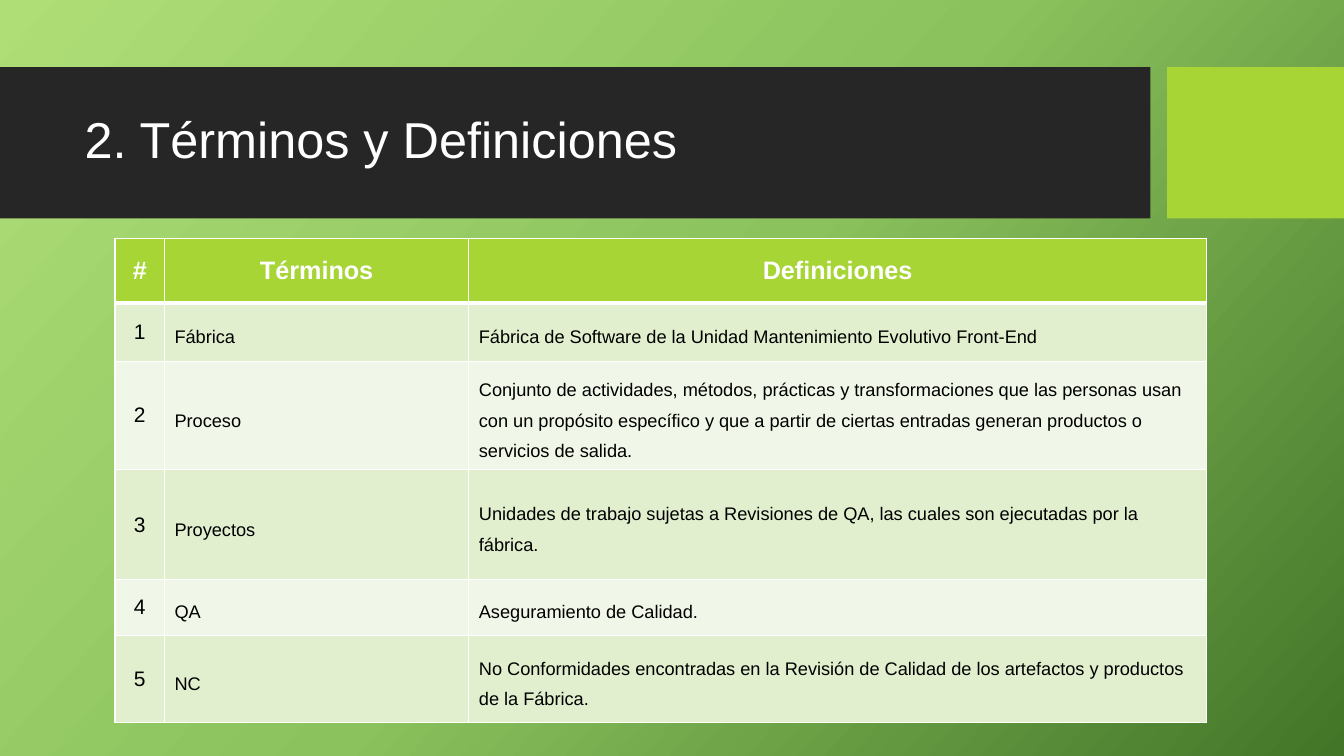
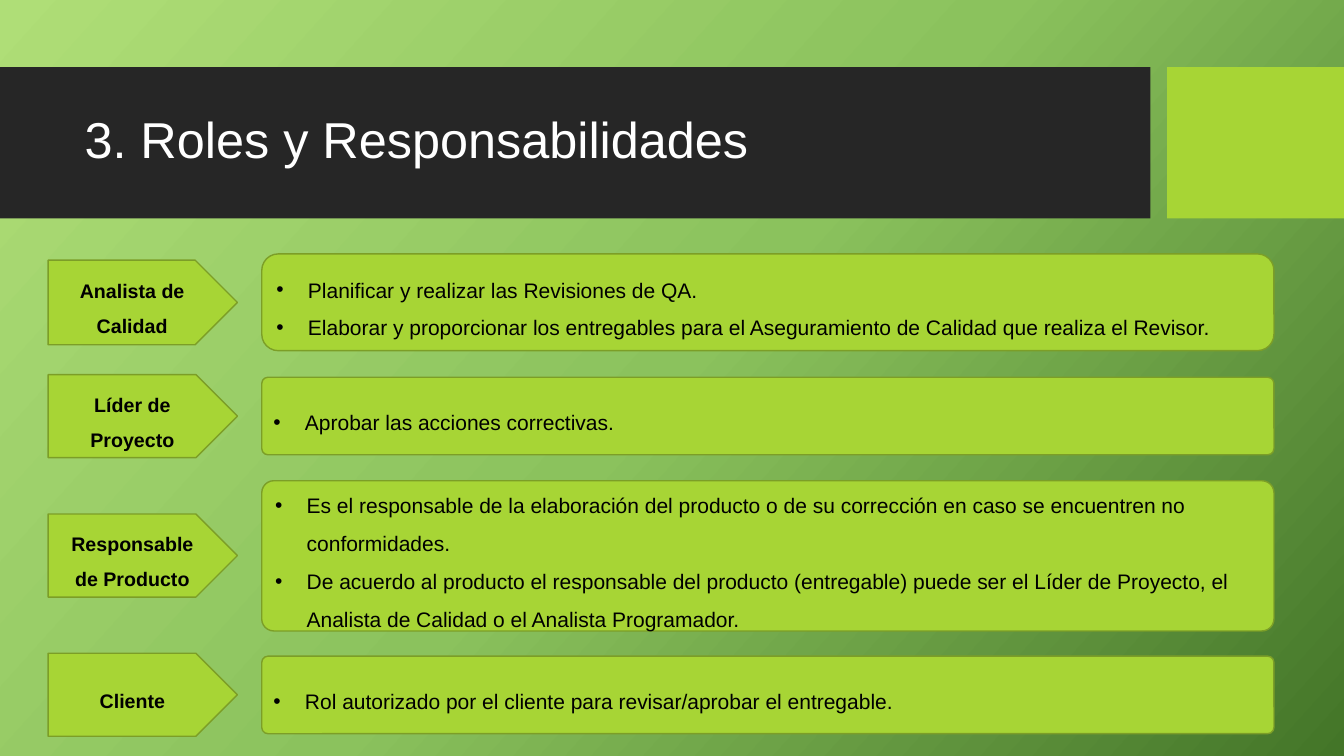
from copy import deepcopy

from lxml.etree import SubElement
from pptx import Presentation
from pptx.dml.color import RGBColor
from pptx.enum.shapes import MSO_SHAPE
from pptx.enum.text import MSO_ANCHOR, PP_ALIGN
from pptx.oxml.ns import qn
from pptx.util import Pt

LIME = RGBColor(0xA7, 0xD5, 0x35)
OLIVE = RGBColor(0x7C, 0x9E, 0x27)
DARK = RGBColor(0x26, 0x26, 0x26)
WHITE = RGBColor(0xFF, 0xFF, 0xFF)
BLACK = RGBColor(0, 0, 0)
BANDS = RGBColor(0xE1, 0xEF, 0xCE), RGBColor(0xF1, 0xF7, 0xE8)
BACKDROP = [
    (0, RGBColor(0xAF, 0xDE, 0x77)),
    (0.5, RGBColor(0x8B, 0xC2, 0x5D)),
    (1, RGBColor(0x43, 0x75, 0x28)),
]

TITLE = {"size": Pt(36), "color": WHITE}
HEADER = {"size": Pt(18), "color": WHITE, "bold": True}
NUMBER = {"size": Pt(15), "color": BLACK, "bold": False}
TERM = {"size": Pt(13), "color": BLACK, "bold": False}
ROLE = {"size": Pt(14), "color": BLACK, "bold": True}
DUTY = {"size": Pt(15), "color": BLACK}

TERMS_TITLE = "2. Términos y Definiciones"
TERMS = [
    ("#", "Términos", "Definiciones"),
    ("1", "Fábrica", "Fábrica de Software de la Unidad Mantenimiento Evolutivo Front-End"),
    ("2", "Proceso", "Conjunto de actividades, métodos, prácticas y transformaciones que las "
     "personas usan con un propósito específico y que a partir de ciertas entradas generan "
     "productos o servicios de salida."),
    ("3", "Proyectos", "Unidades de trabajo sujetas a Revisiones de QA, las cuales son "
     "ejecutadas por la fábrica."),
    ("4", "QA", "Aseguramiento de Calidad."),
    ("5", "NC", "No Conformidades encontradas en la Revisión de Calidad de los artefactos y "
     "productos de la Fábrica."),
]
COL_WIDTHS = 35.3, 217.4, 527
ROW_HEIGHTS = 46, 41.8, 60.5, 78.5, 39.6, 62.6

ROLES_TITLE = "3. Roles y Responsabilidades"
ROLES = [
    ("Analista de Calidad", 185.8, 60.5, 181.4, 69.1, 0.17, [
        "Planificar y realizar las Revisiones de QA.",
        "Elaborar y proporcionar los entregables para el Aseguramiento de Calidad que realiza "
        "el Revisor."]),
    ("Líder de Proyecto", 267.6, 59.3, 269.5, 55.4, 0.08, [
        "Aprobar las acciones correctivas."]),
    ("Responsable de Producto", 367.2, 59.3, 343.4, 107.3, 0.08, [
        "Es el responsable de la elaboración del producto o de su corrección en caso se "
        "encuentren no conformidades.",
        "De acuerdo al producto el responsable del producto (entregable) puede ser el Líder de "
        "Proyecto, el Analista de Calidad o el Analista Programador."]),
    ("Cliente", 466.6, 59.3, 468.7, 55.4, 0.08, [
        "Rol autorizado por el cliente para revisar/aprobar el entregable."]),
]


def write(tf, texts, style, align=PP_ALIGN.LEFT, spacing=1.0, bullet=False):
    tf.word_wrap = True
    tf.vertical_anchor = MSO_ANCHOR.MIDDLE
    for i, text in enumerate(texts):
        p = tf.add_paragraph() if i else tf.paragraphs[0]
        p.alignment, p.line_spacing = align, spacing
        if bullet:
            pPr = p._p.get_or_add_pPr()
            pPr.set("marL", str(Pt(22.5)))
            pPr.set("indent", str(-Pt(22.5)))
            SubElement(pPr, qn("a:buFont"), typeface="Arial")
            SubElement(pPr, qn("a:buChar"), char="•")
        r = p.add_run()
        r.text = text
        r.font.name = "Arial"
        for key, value in style.items():
            if key == "color":
                r.font.color.rgb = value
            else:
                setattr(r.font, key, value)


def add_block(s, kind, box, fill, line=None):
    sp = s.shapes.add_shape(kind, *map(Pt, box))
    sp.shadow.inherit = False
    sp.fill.solid()
    sp.fill.fore_color.rgb = fill
    if line is None:
        sp.line.fill.background()
    else:
        sp.line.color.rgb = line
        sp.line.width = Pt(1)
    return sp


def set_backdrop(master):
    fill = master.background.fill
    fill.gradient()
    fill.gradient_angle = 360 - 42
    stops = master.element.find(".//" + qn("a:gsLst"))
    stops.append(deepcopy(stops[-1]))
    for stop, (position, color) in zip(fill.gradient_stops, BACKDROP):
        stop.position = position
        stop.color.rgb = color


def add_titled_slide(prs, title):
    s = prs.slides.add_slide(prs.slide_layouts[6])
    add_block(s, MSO_SHAPE.RECTANGLE, (0, 48, 821.8, 108), DARK)
    add_block(s, MSO_SHAPE.RECTANGLE, (833.6, 48, 126.4, 108), LIME)
    tb = s.shapes.add_textbox(Pt(53.3), Pt(59), Pt(756.7), Pt(85))
    write(tb.text_frame, [title], TITLE, spacing=0.9)
    return s


def set_borders(cell, **widths):
    tcPr = cell._tc.get_or_add_tcPr()
    for side in "LRTB":
        ln = SubElement(tcPr, qn("a:ln" + side), w=str(Pt(widths.get(side, 1))))
        SubElement(SubElement(ln, qn("a:solidFill")), qn("a:srgbClr"), val=str(WHITE))


def add_terms(s):
    frame = s.shapes.add_table(len(TERMS), len(COL_WIDTHS), Pt(82.2), Pt(170.4),
                               Pt(sum(COL_WIDTHS)), Pt(sum(ROW_HEIGHTS)))
    table = frame.table
    for col, width in zip(table.columns, COL_WIDTHS):
        col.width = Pt(width)
    for i, (row, height, texts) in enumerate(zip(table.rows, ROW_HEIGHTS, TERMS)):
        row.height = Pt(height)
        edges = {0: {"B": 3}, 1: {"T": 3}}.get(i, {})
        for j, (cell, text) in enumerate(zip(row.cells, texts)):
            set_borders(cell, **edges)
            cell.fill.solid()
            cell.fill.fore_color.rgb = BANDS[(i - 1) % 2] if i else LIME
            cell.vertical_anchor = MSO_ANCHOR.MIDDLE
            centered = i == 0 or j == 0
            style = HEADER if i == 0 else NUMBER if j == 0 else TERM
            write(cell.text_frame, [text], style,
                  PP_ALIGN.CENTER if centered else PP_ALIGN.LEFT, 1.0 if centered else 1.5)


def add_roles(s):
    for role, tag_top, tag_height, top, height, corner, duties in ROLES:
        tag = add_block(s, MSO_SHAPE.PENTAGON, (34.4, tag_top, 135.2, tag_height), LIME, OLIVE)
        write(tag.text_frame, [role], ROLE, PP_ALIGN.CENTER, 1.5)
        panel = add_block(s, MSO_SHAPE.ROUNDED_RECTANGLE, (187, top, 723, height), LIME, OLIVE)
        panel.adjustments[0] = corner
        write(panel.text_frame, duties, DUTY, spacing=1.5, bullet=True)


def main():
    prs = Presentation()
    prs.slide_width, prs.slide_height = Pt(960), Pt(540)
    set_backdrop(prs.slide_master)
    add_terms(add_titled_slide(prs, TERMS_TITLE))
    add_roles(add_titled_slide(prs, ROLES_TITLE))
    prs.save("out.pptx")


if __name__ == "__main__":
    main()
